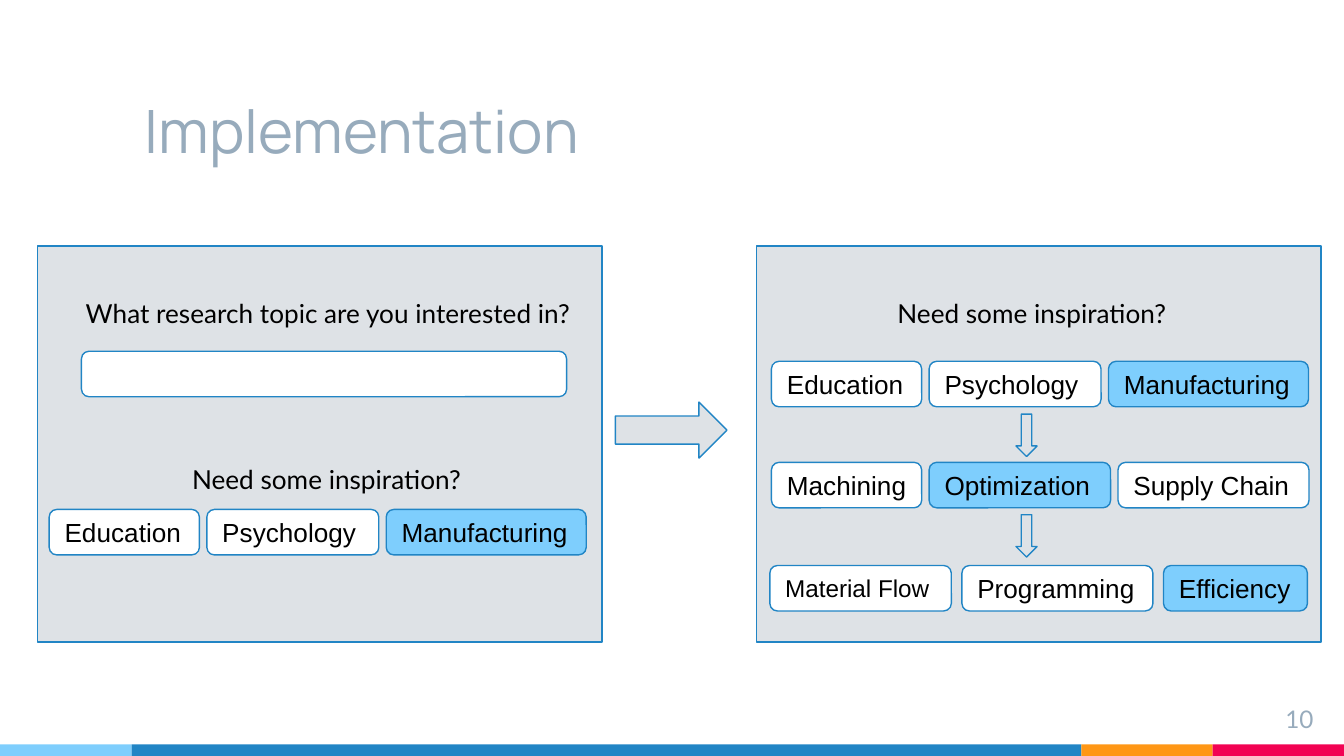
from pptx import Presentation
from pptx.dml.color import RGBColor
from pptx.enum import shapes, text
from pptx.util import Cm, Pt

BLUE, SKY, ORANGE, PINK = "2185C5", "7ECEFD", "FF9715", "F20253"
GREY, SLATE, WHITE, BLACK = "DEE2E6", "97ABBC", "FFFFFF", "000000"
KIND = shapes.MSO_SHAPE
CHIP_H = 0.86
CHIP_WIDTH = {
    "Education": 2.84, "Psychology": 3.25, "Manufacturing": 3.78,
    "Machining": 2.84, "Optimization": 3.43, "Supply Chain": 3.61,
    "Material Flow": 3.43, "Programming": 3.61, "Efficiency": 2.72,
}


def color(value):
    return RGBColor.from_string(value)


def write(sp, content, size=14, font="Lato", fill=BLACK,
          align=text.PP_ALIGN.LEFT, anchor=text.MSO_ANCHOR.TOP):
    tf = sp.text_frame
    tf.word_wrap = True
    tf.vertical_anchor = anchor
    tf.margin_left = tf.margin_right = Cm(0.25)
    tf.margin_top = tf.margin_bottom = Cm(0.25)
    p = tf.paragraphs[0]
    p.alignment = align
    r = p.add_run()
    r.text = content
    r.font.size = Pt(size)
    r.font.name = font
    r.font.color.rgb = color(fill)


def add_text(s, left, top, width, height, content, **fmt):
    sp = s.shapes.add_textbox(Cm(left), Cm(top), Cm(width), Cm(height))
    write(sp, content, **fmt)


def add_box(s, kind, left, top, width, height, fill, line=BLUE):
    sp = s.shapes.add_shape(kind, Cm(left), Cm(top), Cm(width), Cm(height))
    sp.shadow.inherit = False
    sp.fill.solid()
    sp.fill.fore_color.rgb = color(fill)
    if line:
        sp.line.color.rgb = color(line)
        sp.line.width = Pt(0.75)
    else:
        sp.line.fill.background()
    return sp


def add_chips(s, left, top, labels, chosen, gap=0.14):
    """Lay out a row of topic buttons, with the chosen one highlighted."""
    for label in labels:
        width = CHIP_WIDTH[label]
        sp = add_box(s, KIND.ROUNDED_RECTANGLE, left, top, width, CHIP_H,
                     SKY if label == chosen else WHITE)
        write(sp, label, size=13 if label == "Material Flow" else 14,
              font="Arial", anchor=text.MSO_ANCHOR.MIDDLE)
        left += width + gap


def add_footer(s):
    edges = [0, 2.49, 20.44, 22.92, 25.4]
    for left, right, fill in zip(edges, edges[1:], [SKY, BLUE, ORANGE, PINK]):
        add_box(s, KIND.RECTANGLE, left, 14.07, right - left, 0.22, fill, line=None)
    add_text(s, 23.55, 13.06, 1.52, 0.86, "10", size=13, fill=SLATE,
             align=text.PP_ALIGN.RIGHT)


def main():
    prs = Presentation()
    prs.slide_width, prs.slide_height = Cm(25.4), Cm(14.29)
    s = prs.slides.add_slide(prs.slide_layouts[6])

    # Frame and title
    add_footer(s)
    add_text(s, 2.49, 0.99, 17.95, 2.39, "Implementation", size=32,
             font="Manrope", fill=SLATE, anchor=text.MSO_ANCHOR.BOTTOM)

    # Panels
    for left in (0.71, 14.3):
        add_box(s, KIND.RECTANGLE, left, 4.65, 10.67, 7.49, GREY)

    # First screen: search field and topics
    topics = ["Education", "Psychology", "Manufacturing"]
    add_text(s, 1.37, 5.38, 9.8, 1.12, "What research topic are you interested in?")
    add_box(s, KIND.ROUNDED_RECTANGLE, 1.54, 6.64, 9.17, CHIP_H, WHITE)
    add_text(s, 3.38, 8.51, 5.82, 1.12, "Need some inspiration?")
    add_chips(s, 0.93, 9.63, topics, "Manufacturing")

    # Second screen: topics narrowed down step by step
    add_text(s, 16.71, 5.38, 5.82, 1.12, "Need some inspiration?")
    add_chips(s, 14.58, 6.83, topics, "Manufacturing")
    add_chips(s, 14.58, 8.74, ["Machining", "Optimization", "Supply Chain"],
              "Optimization")
    add_chips(s, 14.55, 10.69, ["Material Flow", "Programming", "Efficiency"],
              "Efficiency", gap=0.2)

    # Arrows between the screens and between the steps
    add_box(s, KIND.RIGHT_ARROW, 11.63, 7.6, 2.11, 1.06, GREY)
    for top in (8.03, 9.93):
        sp = add_box(s, KIND.RIGHT_ARROW, 19, top, 0.8, 0.4, GREY)
        sp.rotation = 90

    prs.save("out.pptx")


if __name__ == "__main__":
    main()
